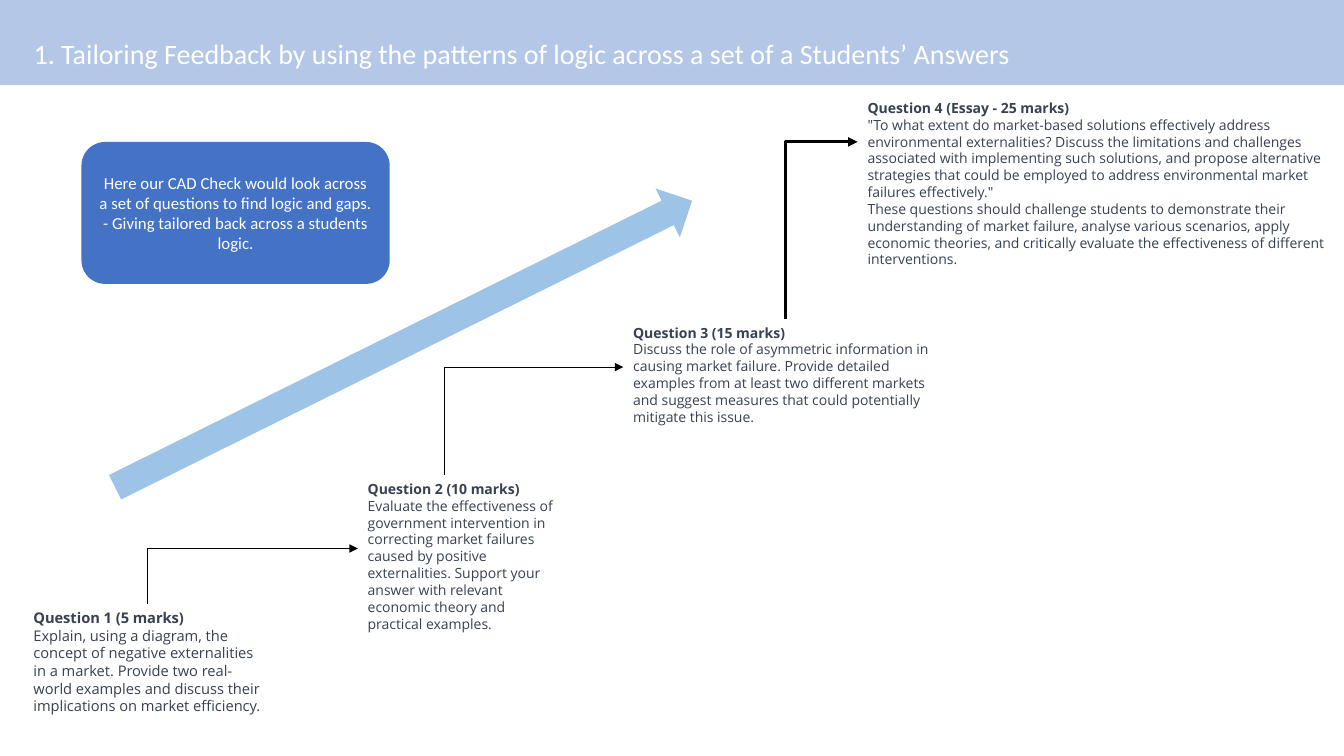
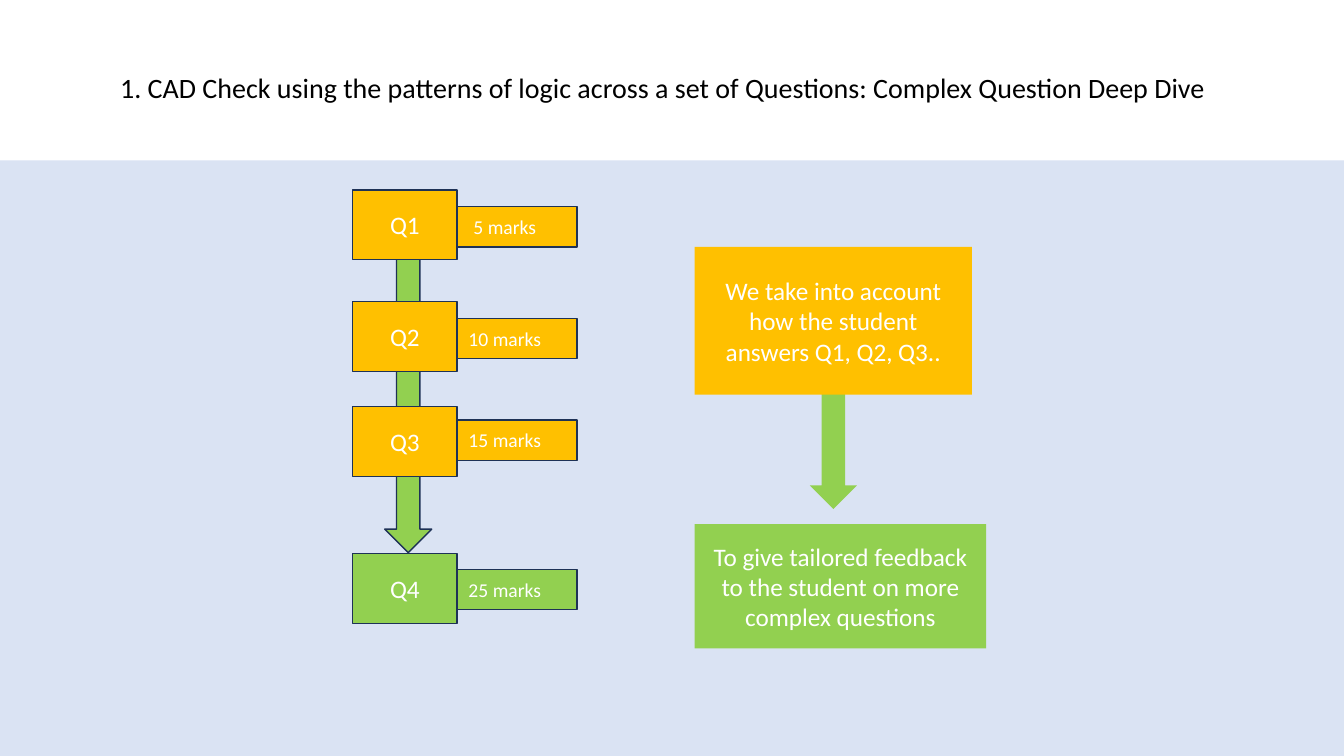
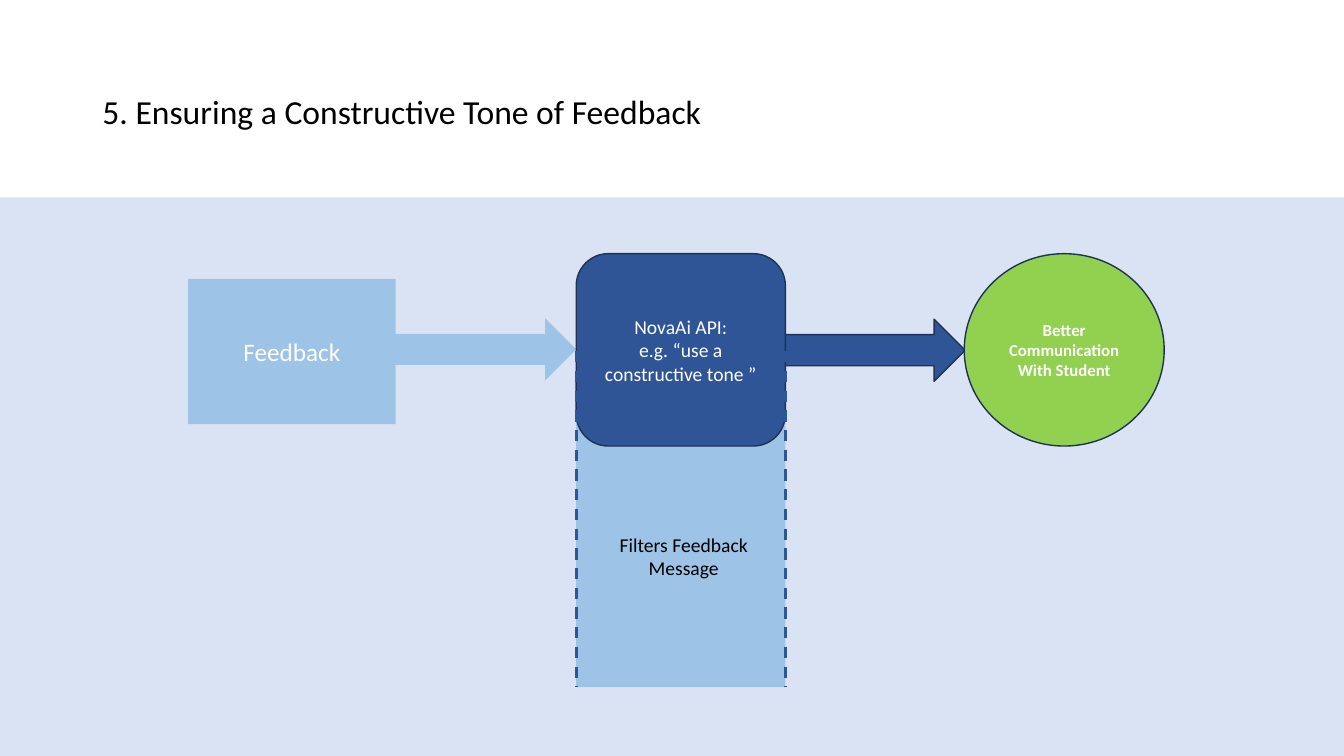
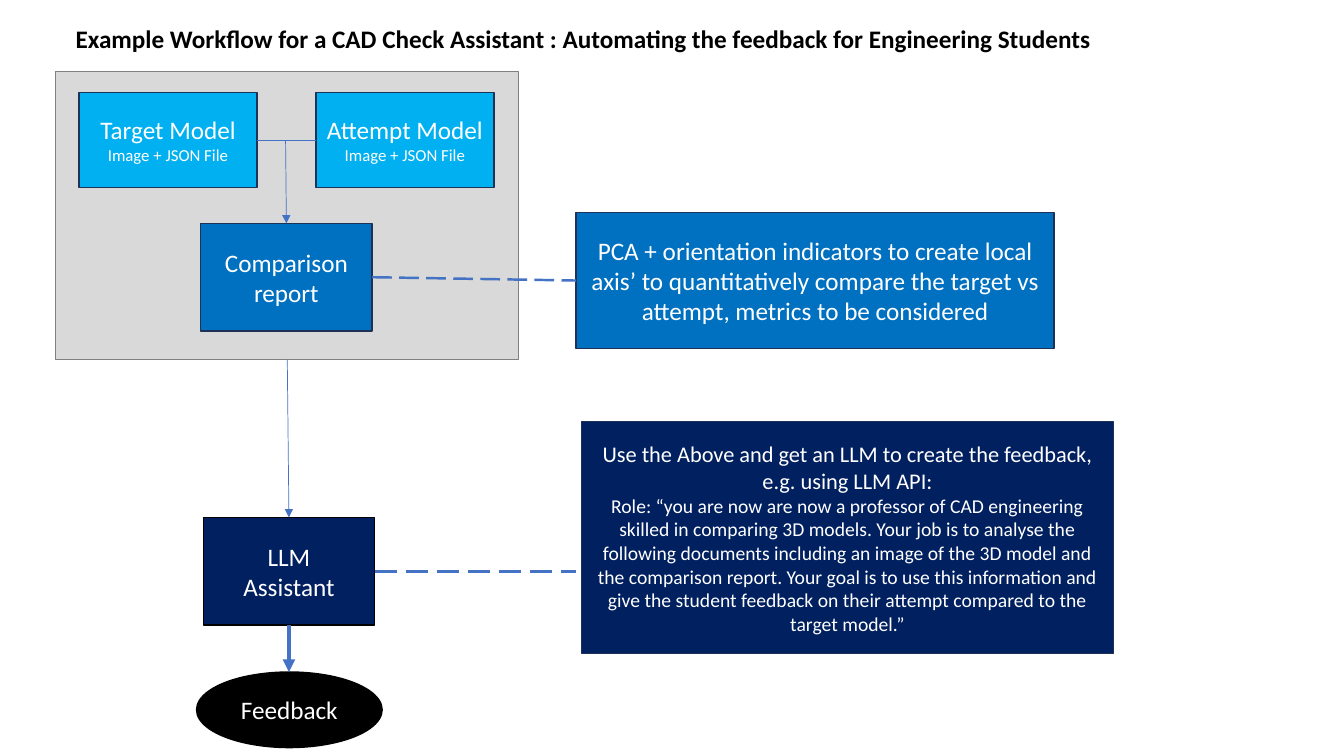
import pptx
import pptx.util
import pptx.dml.color
import pptx.enum.dml
import pptx.enum.shapes
import pptx.enum.text
import pptx.oxml.ns
import pptx.oxml.xmlchemy
import lxml.etree

COLUMNS, ROWS = 160, 90
CELL = pptx.util.Inches(1) // 12

SHAPE = pptx.enum.shapes.MSO_SHAPE
CONNECTOR = pptx.enum.shapes.MSO_CONNECTOR
DASH = pptx.enum.dml.MSO_LINE
ALIGN = pptx.enum.text.PP_ALIGN
ANCHOR = pptx.enum.text.MSO_ANCHOR

WHITE, BLACK, SLATE = "FFFFFF", "000000", "374151"
PERIWINKLE, PALE_BLUE, SKY = "B4C7E7", "DAE3F3", "9DC3E6"
BLUE, DEEP_BLUE, OUTLINE = "4472C4", "2F5597", "1E3256"
AMBER, GREEN = "FFC000", "92D050"
CYAN, MID_BLUE, NAVY = "00B0F0", "0070C0", "002060"
LIGHT_GREY, GREY = "D9D9D9", "808080"


def color(value):
    return pptx.dml.color.RGBColor.from_string(value)


def grid(*cells):
    return [pptx.util.Emu(round(cell * CELL)) for cell in cells]


def write(frame, lines, ink, size, font="Calibri", align=ALIGN.CENTER,
          anchor=ANCHOR.MIDDLE, bold=False, spacing=None):
    frame.word_wrap = True
    frame.auto_size = pptx.enum.text.MSO_AUTO_SIZE.NONE
    frame.vertical_anchor = anchor
    for index, line in enumerate(lines):
        text, options = line if isinstance(line, tuple) else (line, {})
        paragraph = frame.add_paragraph() if index else frame.paragraphs[0]
        paragraph.alignment = align
        if spacing:
            paragraph.line_spacing = spacing
        run = paragraph.add_run()
        run.text = text
        run.font.name = font
        run.font.size = pptx.util.Pt(options.get("size", size))
        run.font.bold = options.get("bold", bold)
        run.font.color.rgb = color(ink)


def add_block(slide, kind, box, fill, lines=(), size=18, outline=None,
              bold=False, rotation=0):
    shape = slide.shapes.add_shape(kind, *grid(*box))
    shape.shadow.inherit = False
    shape.rotation = rotation
    shape.fill.solid()
    shape.fill.fore_color.rgb = color(fill)
    if outline:
        shape.line.color.rgb = color(outline)
        shape.line.width = pptx.util.Pt(1)
    else:
        shape.line.fill.background()
    write(shape.text_frame, lines, WHITE, size, bold=bold)
    return shape


def add_label(slide, box, lines, ink, size, **style):
    label = slide.shapes.add_textbox(*grid(*box))
    write(label.text_frame, lines, ink, size, anchor=ANCHOR.TOP, **style)


def add_line(slide, start, end, ink, weight, dash=None, arrow=False, elbow=False):
    kind = CONNECTOR.ELBOW if elbow else CONNECTOR.STRAIGHT
    connector = slide.shapes.add_connector(kind, *grid(*start, *end))
    connector.line.color.rgb = color(ink)
    connector.line.width = pptx.util.Pt(weight)
    if dash:
        connector.line.dash_style = dash
    qualified = pptx.oxml.ns.qn
    properties = connector.element.spPr
    if arrow:
        outline = properties.find(qualified("a:ln"))
        lxml.etree.SubElement(outline, qualified("a:tailEnd"), type="triangle")
    if elbow:
        geometry = properties.find(qualified("a:prstGeom"))
        guides = geometry.find(qualified("a:avLst"))
        lxml.etree.SubElement(guides, qualified("a:gd"), name="adj1", fmla="val 0")
    lxml.etree.SubElement(properties, qualified("a:effectLst"))


def add_slide(presentation, title, box, size, ink=BLACK, band=None,
              anchor=ANCHOR.MIDDLE, bold=False, spacing=0.9):
    slide = presentation.slides.add_slide(presentation.slide_layouts[5])
    heading = slide.shapes.title
    heading.left, heading.top, heading.width, heading.height = grid(*box)
    write(heading.text_frame, [title], ink, size, align=ALIGN.LEFT,
          anchor=anchor, bold=bold, spacing=spacing)
    if band:
        top, height, fill = band
        background = add_block(slide, SHAPE.RECTANGLE, (0, top, COLUMNS, height), fill)
        background.element.addnext(heading.element)
    return slide


def build_questions(presentation):
    slide = add_slide(
        presentation,
        "1. Tailoring Feedback by using the patterns of logic across a set of a Students’ Answers",
        (2.8, 1.2, 143.3, 10.8), 20, WHITE, (0, 10.1, PERIWINKLE))
    questions = [
        ((2.8, 71.9, 29.8, 13.9), 10.5, "Question 1 (5 marks)", [
            "Explain, using a diagram, the concept of negative externalities in a market. "
            "Provide two real-world examples and discuss their implications on market efficiency."]),
        ((42.6, 56.6, 25.2, 17.4), 10, "Question 2 (10 marks)", [
            "Evaluate the effectiveness of government intervention in correcting market failures "
            "caused by positive externalities. Support your answer with relevant economic theory "
            "and practical examples."]),
        ((74.2, 38, 38.6, 11.3), 10, "Question 3 (15 marks)", [
            "Discuss the role of asymmetric information in causing market failure. Provide detailed "
            "examples from at least two different markets and suggest measures that could "
            "potentially mitigate this issue."]),
        ((102.1, 11.25, 57, 17.4), 10, "Question 4 (Essay - 25 marks)", [
            "\"To what extent do market-based solutions effectively address environmental "
            "externalities? Discuss the limitations and challenges associated with implementing "
            "such solutions, and propose alternative strategies that could be employed to address "
            "environmental market failures effectively.\"",
            "These questions should challenge students to demonstrate their understanding of market "
            "failure, analyse various scenarios, apply economic theories, and critically evaluate "
            "the effectiveness of different interventions."]),
    ]
    for box, size, heading, body in questions:
        add_label(slide, box, [(heading, {"bold": True}), *body], SLATE, size,
                  font="Open Sans", align=ALIGN.LEFT)
    steps = [((17.6, 71.9), (42.6, 65.3), 0.5),
             ((52.9, 56.6), (74.2, 43.7), 0.5),
             ((93.5, 38), (102.1, 16.9), 2.25)]
    for start, end, weight in steps:
        add_line(slide, start, end, BLACK, weight, arrow=True, elbow=True)
    add_block(slide, SHAPE.RIGHT_ARROW, (9.7, 37.7, 76.7, 6.5), SKY, rotation=333.6)
    add_block(slide, SHAPE.ROUNDED_RECTANGLE, (9.7, 16.9, 36.7, 16.9), BLUE, [
        "Here our CAD Check would look across a set of questions to find logic and gaps. "
        "- Giving tailored back across a students logic."], 12)


def build_deep_dive(presentation):
    slide = add_slide(
        presentation,
        "1. CAD Check using the patterns of logic across a set of Questions: Complex Question Deep Dive",
        (13.1, 2, 133.8, 17.4), 20, band=(19.1, 70.9, PALE_BLUE))
    add_block(slide, SHAPE.DOWN_ARROW, (96.4, 30.8, 5.6, 29.8), GREEN)
    add_block(slide, SHAPE.DOWN_ARROW, (45.8, 26, 5.6, 39.8), GREEN, outline=OUTLINE)
    questions = [("Q1", 22.6, "5 marks", 24.6, AMBER),
                 ("Q2", 35.9, "10 marks", 37.9, AMBER),
                 ("Q3", 48.4, "15 marks", 50, AMBER),
                 ("Q4", 65.9, "25 marks", 67.8, GREEN)]
    for name, top, marks, marks_top, fill in questions:
        add_block(slide, SHAPE.RECTANGLE, (51.5, marks_top, 17.2, 4.8), fill,
                  [marks], 14, OUTLINE)
        add_block(slide, SHAPE.RECTANGLE, (42, top, 12.4, 8.3), fill,
                  [name], outline=OUTLINE)
    add_block(slide, SHAPE.RECTANGLE, (82.7, 29.4, 33, 17.6), AMBER,
              ["We take into account how the student answers Q1, Q2, Q3.."])
    add_block(slide, SHAPE.RECTANGLE, (82.7, 62.4, 34.7, 14.8), GREEN,
              ["To give tailored feedback to the student on more complex questions"])


def build_tone(presentation):
    slide = add_slide(presentation, "5. Ensuring a Constructive Tone of Feedback",
                      (11, 4.8, 138, 17.4), 24, band=(23.5, 66.5, PALE_BLUE))
    left, width, filter_top, filter_height = 68.6, 24.9, 41.8, 40
    add_block(slide, SHAPE.RECTANGLE, (left, filter_top, width, filter_height), SKY)
    add_block(slide, SHAPE.RIGHT_ARROW, (85.1, 38, 29.8, 7.4), DEEP_BLUE, outline=OUTLINE)
    add_block(slide, SHAPE.RIGHT_ARROW, (37.9, 37.9, 30.7, 7.4), SKY)
    add_block(slide, SHAPE.OVAL, (114.8, 30.2, 23.8, 22.9), GREEN,
              ["Better Communication", "With Student"], 12, OUTLINE, bold=True)
    add_block(slide, SHAPE.ROUNDED_RECTANGLE, (left, 30.2, width, 22.9), DEEP_BLUE,
              ["NovaAi API:", "e.g. “use a constructive tone ”"], 14, OUTLINE)
    add_block(slide, SHAPE.RECTANGLE, (22.4, 33.2, 24.7, 17.3), SKY, ["Feedback"])
    for edge in (left, left + width):
        add_line(slide, (edge, filter_top), (edge, filter_top + filter_height),
                 DEEP_BLUE, 2, DASH.DASH)
    add_label(slide, (71.2, 62.8, 20.4, 6.8), ["Filters Feedback Message"], BLACK, 14)


def build_workflow(presentation):
    slide = add_slide(
        presentation,
        "Example Workflow for a CAD Check Assistant : Automating the feedback for Engineering Students",
        (7.8, 2.2, 128.4, 4.8), 18, anchor=ANCHOR.TOP, bold=True, spacing=1.0)
    add_block(slide, SHAPE.RECTANGLE, (6.6, 8.5, 55.1, 34.3), LIGHT_GREY, outline=GREY)
    for left, name in ((9.4, "Target Model"), (37.6, "Attempt Model")):
        add_block(slide, SHAPE.RECTANGLE, (left, 11, 21.2, 11.3), CYAN,
                  [name, ("Image + JSON File", {"size": 12})], outline=OUTLINE)
    boxes = [
        ((23.9, 26.6, 20.4, 12.8), MID_BLUE, OUTLINE, 18, ["Comparison report"]),
        ((68.6, 25.3, 56.9, 16.2), MID_BLUE, OUTLINE, 18, [
            "PCA + orientation indicators to create local axis’ to quantitatively compare "
            "the target vs attempt, metrics to be considered"]),
        ((24.2, 61.6, 20.4, 12.8), NAVY, BLACK, 18, ["LLM", "Assistant"]),
        ((69.2, 50.2, 63.4, 27.6), NAVY, OUTLINE, 14, [
            ("Use the Above and get an LLM to create the feedback, e.g. using LLM API:",
             {"size": 16}),
            "Role: “you are now are now a professor of CAD engineering skilled in comparing "
            "3D models. Your job is to analyse the following documents including an image of "
            "the 3D model and the comparison report. Your goal is to use this information and "
            "give the student feedback on their attempt compared to the target model.”"]),
    ]
    for box, fill, outline, size, lines in boxes:
        add_block(slide, SHAPE.RECTANGLE, box, fill, lines, size, outline)
    add_block(slide, SHAPE.OVAL, (23.4, 80, 22.1, 9), BLACK, ["Feedback"], outline=BLACK)
    add_line(slide, (30.6, 16.7), (37.6, 16.7), BLUE, 0.5)
    add_line(slide, (44.6, 68), (68.6, 68), BLUE, 2, DASH.LONG_DASH)
    add_line(slide, (44.3, 33), (68.6, 33.4), BLUE, 1.75, DASH.LONG_DASH)
    arrows = [((34, 16.7), (34.1, 26.6), 0.5),
              ((34.2, 42.8), (34.4, 61.6), 0.5),
              ((34.4, 74.4), (34.4, 80), 3)]
    for start, end, weight in arrows:
        add_line(slide, start, end, BLUE, weight, arrow=True)


def main():
    presentation = pptx.Presentation()
    presentation.slide_width, presentation.slide_height = grid(COLUMNS, ROWS)
    build_questions(presentation)
    build_deep_dive(presentation)
    build_tone(presentation)
    build_workflow(presentation)
    presentation.save("out.pptx")


if __name__ == "__main__":
    main()
